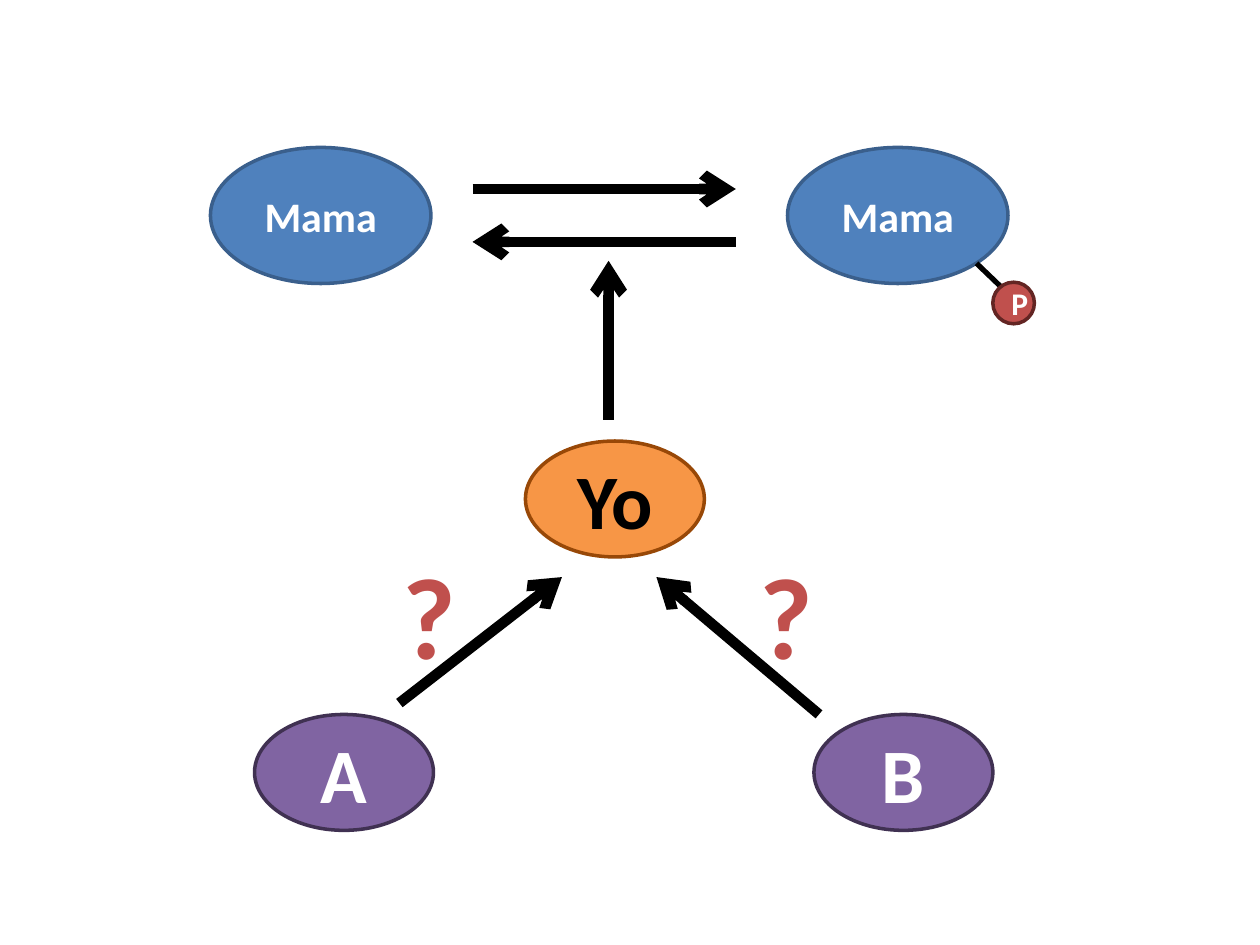
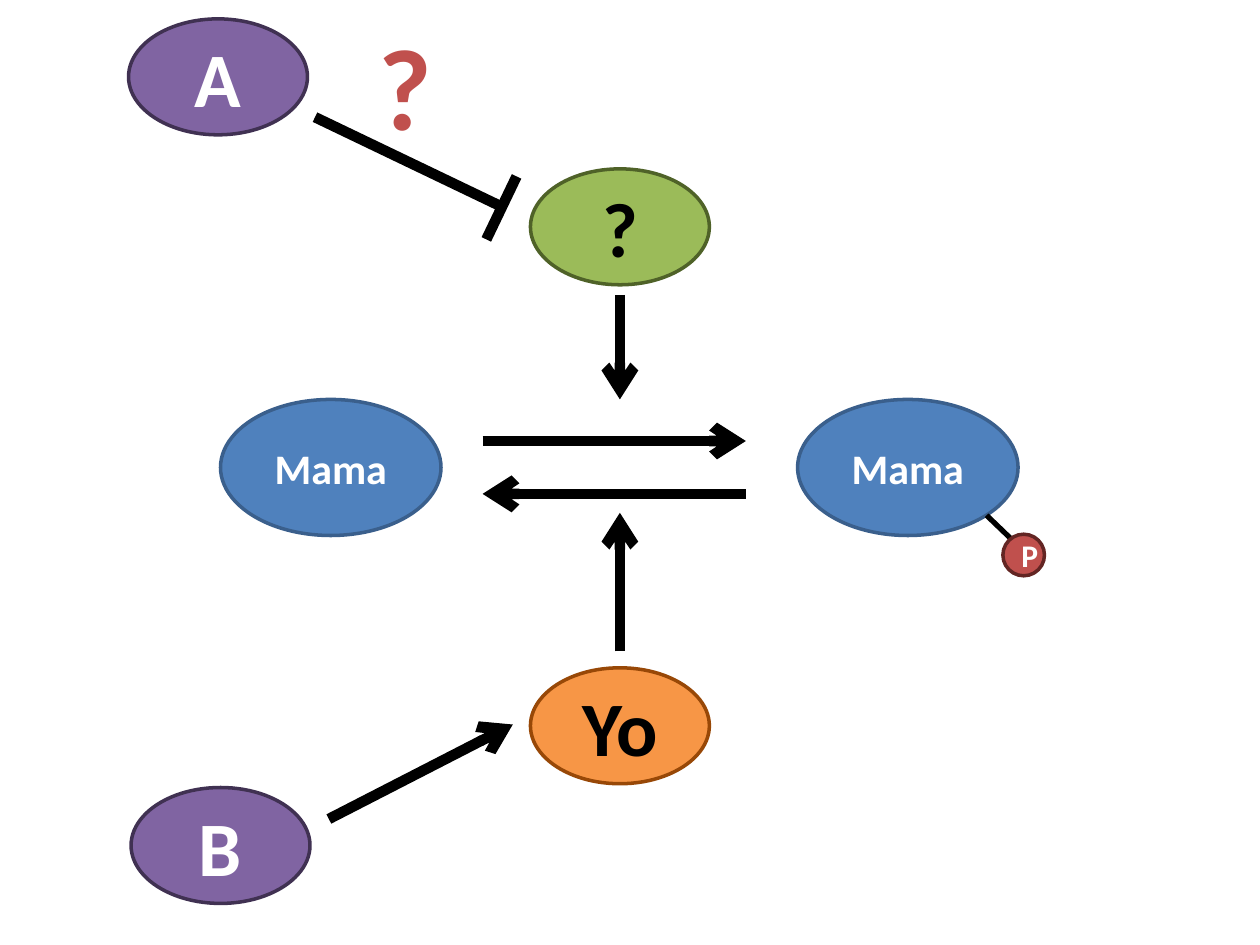
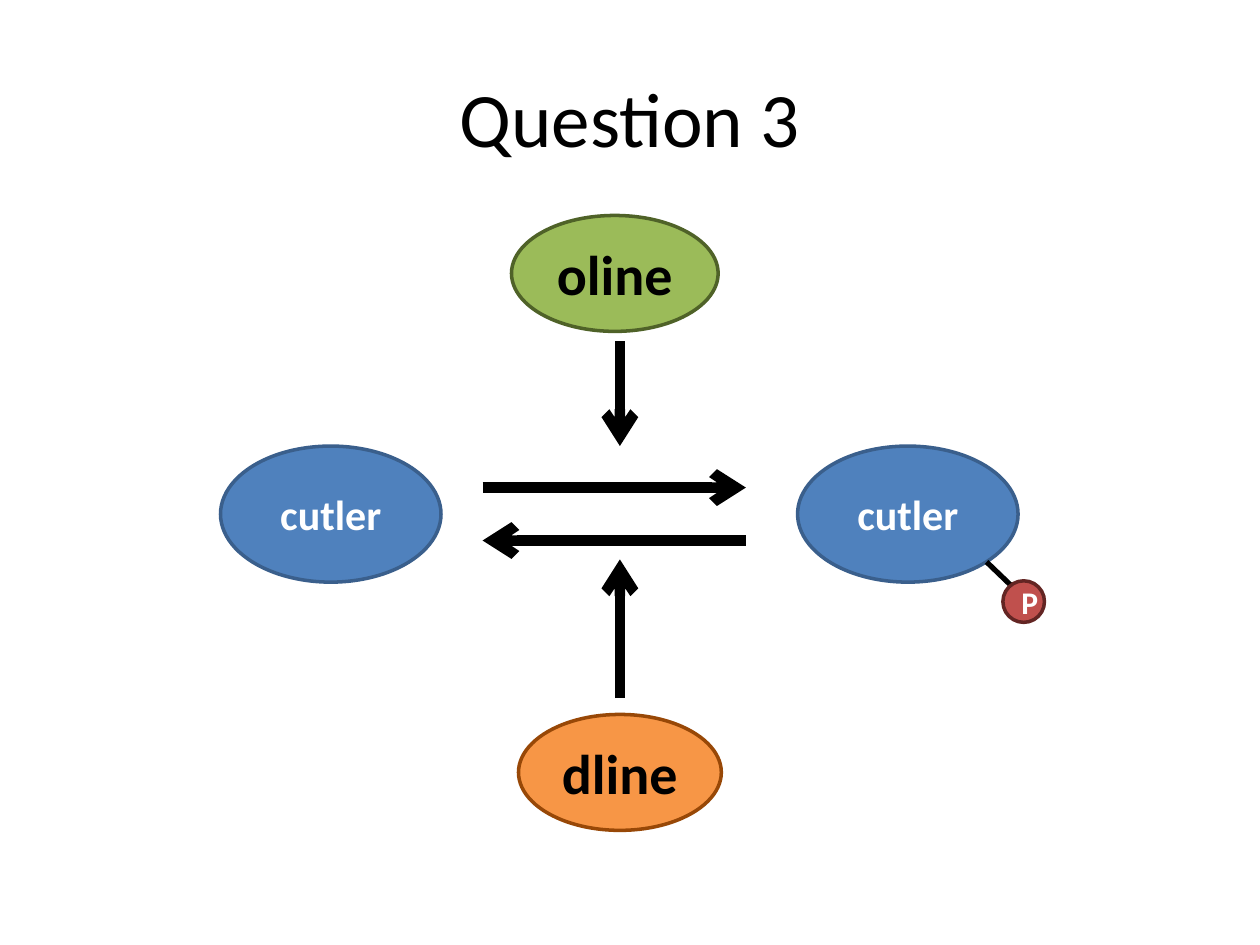
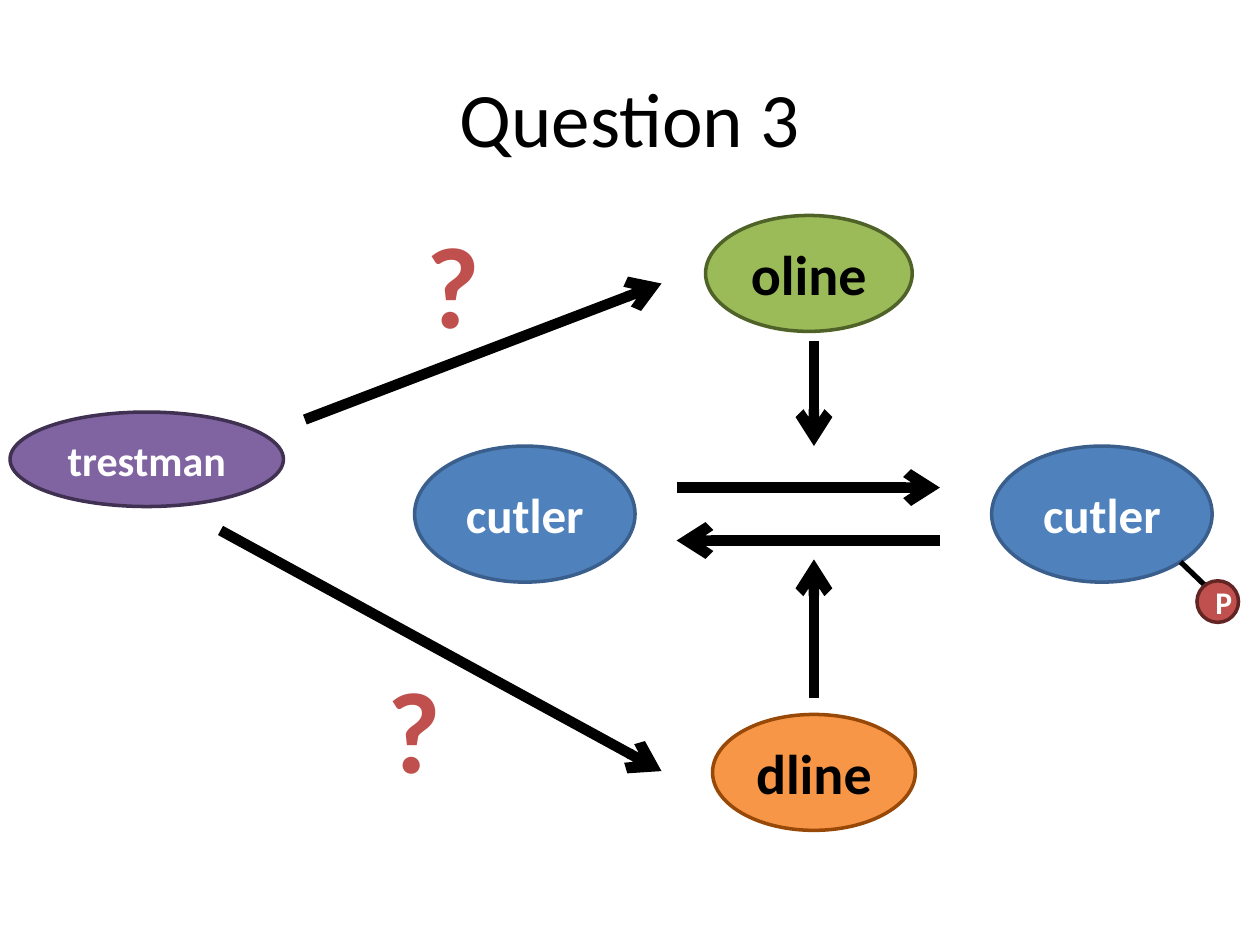
"""Build four slides of signalling diagrams around a phosphorylation cycle."""
from lxml import etree
from pptx import Presentation
from pptx import util as u
from pptx.dml.color import RGBColor
from pptx.enum import shapes, text
from pptx.oxml import ns

COLORS = {
    "black": "000000", "white": "FFFFFF",
    "blue": "4F81BD", "blue_edge": "3A5F8C",
    "red": "C0504D", "red_edge": "632523",
    "orange": "F79646", "orange_edge": "984807",
    "purple": "8064A2", "purple_edge": "403152",
    "green": "9BBB59", "green_edge": "4F6228",
}
FONT = "Calibri"
NODE_WIDTH, NODE_HEIGHT = 1.42, 0.92
PROTEIN_WIDTH, PROTEIN_HEIGHT = 1.75, 1.08
PROTEIN_STEP = 4.58


def rgb(name):
    """Return the named colour."""
    return RGBColor.from_string(COLORS[name])


def write(shape, content, size, color="black", bold=True,
          align=text.PP_ALIGN.CENTER, anchor=text.MSO_ANCHOR.MIDDLE, wrap=True):
    """Put one formatted line of text in a shape."""
    frame = shape.text_frame
    frame.word_wrap = wrap
    frame.vertical_anchor = anchor
    paragraph = frame.paragraphs[0]
    paragraph.alignment = align
    run = paragraph.add_run()
    run.text = content
    run.font.name = FONT
    run.font.size = u.Pt(size)
    run.font.bold = bold
    run.font.color.rgb = rgb(color)


def add_box(slide, left, top, width, height):
    """Add an empty text box."""
    return slide.shapes.add_textbox(*map(u.Inches, (left, top, width, height)))


def add_title(slide, content):
    """Add the centred slide title."""
    write(add_box(slide, 0.5, 0.3, 9, 1.25), content, 44, bold=False)


def add_question(slide, left, top):
    """Add a large red question mark."""
    box = add_box(slide, left, top, 0.63, 1.21)
    write(box, "?", 66, color="red", align=text.PP_ALIGN.LEFT,
          anchor=text.MSO_ANCHOR.TOP, wrap=False)
    box.text_frame.auto_size = text.MSO_AUTO_SIZE.SHAPE_TO_FIT_TEXT


def add_node(slide, label, left, top, width=NODE_WIDTH, height=NODE_HEIGHT, *,
             fill, size=44, color="black", kind=shapes.MSO_SHAPE.OVAL):
    """Add a labelled, outlined node."""
    shape = slide.shapes.add_shape(kind, *map(u.Inches, (left, top, width, height)))
    shape.shadow.inherit = False
    shape.fill.solid()
    shape.fill.fore_color.rgb = rgb(fill)
    shape.line.color.rgb = rgb(fill + "_edge")
    shape.line.width = u.Pt(2)
    write(shape, label, size, color=color)


def add_line(slide, start, end, width=6, arrow=False):
    """Add a straight black line, with an arrowhead at its end if wanted."""
    line = slide.shapes.add_connector(
        shapes.MSO_CONNECTOR.STRAIGHT, *map(u.Inches, (*start, *end)))
    line.line.color.rgb = rgb("black")
    line.line.width = u.Pt(width)
    if arrow:
        outline = line.line._get_or_add_ln()
        etree.SubElement(outline, ns.qn("a:tailEnd"), type="arrow")
    etree.SubElement(line._element.spPr, ns.qn("a:effectLst"))


def add_arrow(slide, start, end):
    """Add a thick arrow."""
    add_line(slide, start, end, arrow=True)


def add_cycle(slide, name, left, top, size=24):
    """Add a protein, its phosphorylated form and the arrows between them."""
    for protein_left in (left, left + PROTEIN_STEP):
        add_node(slide, name, protein_left, top, PROTEIN_WIDTH, PROTEIN_HEIGHT,
                 fill="blue", size=size, color="white")
    add_line(slide, (left + 6.08, top + 0.92), (left + 6.33, top + 1.16), width=3)
    add_node(slide, "P", left + 6.21, top + 1.07, 0.33, 0.33, fill="red", size=18,
             color="white", kind=shapes.MSO_SHAPE.FLOWCHART_CONNECTOR)
    near, far = left + 2.08, left + 4.17
    add_arrow(slide, (near, top + 0.33), (far, top + 0.33))
    add_arrow(slide, (far, top + 0.75), (near, top + 0.75))


def add_lower_regulator(slide, name, left, top, width=NODE_WIDTH, size=44, drop=2):
    """Add the orange regulator and its arrow up to a cycle at left, top."""
    middle = left + 3.17
    add_arrow(slide, (middle, top + drop), (middle, top + 0.9))
    add_node(slide, name, middle - width / 2, top + drop + 0.13, width,
             fill="orange", size=size)


def add_upper_regulator(slide, name, left, top, width=NODE_WIDTH, size=44, shift=0):
    """Add the green regulator and its arrow down to a cycle at left, top."""
    middle = left + 3.17
    add_arrow(slide, (middle, top - 0.83), (middle, top))
    add_node(slide, name, middle - width / 2 + shift, top - 1.83, width,
             fill="green", size=size)


def add_input(slide, name, left, top, *size_in_inches, size=44):
    """Add a purple input node."""
    add_node(slide, name, left, top, *size_in_inches,
             fill="purple", size=size, color="white")


def build_two_activators(slide):
    """Show A and B as possible activators of Yo."""
    left, top = 1.67, 1.17
    add_cycle(slide, "Mama", left, top)
    add_arrow(slide, (4.83, 3.33), (4.83, 2.07))
    add_node(slide, "Yo", 4.17, 3.5, fill="orange")
    add_input(slide, "A", 2.02, 5.67)
    add_input(slide, "B", 6.46, 5.67)
    add_arrow(slide, (6.5, 5.67), (5.21, 4.58))
    add_arrow(slide, (3.17, 5.58), (4.46, 4.58))
    for question_left in (3.1, 5.93):
        add_question(slide, question_left, 4.27)


def build_inhibitor(slide):
    """Show A blocking an unknown regulator while B activates Yo."""
    left, top = 1.75, 3.17
    add_cycle(slide, "Mama", left, top)
    add_lower_regulator(slide, "Yo", left, top)
    add_upper_regulator(slide, "?", left, top)
    add_input(slide, "A", 1.02, 0.15)
    add_input(slide, "B", 1.04, 6.25)
    add_arrow(slide, (2.61, 6.5), (4.07, 5.75))
    add_question(slide, 2.91, 0.07)
    add_line(slide, (2.5, 0.93), (3.96, 1.63))
    add_line(slide, (3.86, 1.9), (4.1, 1.4))


def build_cutler(slide, left, size=24):
    """Show the titled cutler cycle with both of its regulators."""
    top = 3.54
    add_title(slide, "Question 3")
    add_cycle(slide, "cutler", left, top, size=size)
    add_lower_regulator(slide, "dline", left, top, width=1.61, size=32)
    add_upper_regulator(slide, "oline", left, top, width=1.64, size=32, shift=-0.04)


def build_trestman(slide):
    """Show trestman as a possible input to both cutler regulators."""
    build_cutler(slide, 3.29, size=28)
    add_input(slide, "trestman", 0.08, 3.27, 2.17, 0.75, size=24)
    add_arrow(slide, (2.42, 3.33), (5.25, 2.25))
    add_arrow(slide, (1.75, 4.21), (5.25, 6.12))
    add_question(slide, 3.29, 1.64)
    add_question(slide, 2.98, 5.17)


def main():
    """Build and save the presentation."""
    presentation = Presentation()
    presentation.slide_width = u.Inches(10)
    presentation.slide_height = u.Inches(7.5)
    blank = presentation.slide_layouts[6]

    def new_slide():
        """Add a blank slide."""
        return presentation.slides.add_slide(blank)

    build_two_activators(new_slide())
    build_inhibitor(new_slide())
    build_cutler(new_slide(), 1.75)
    build_trestman(new_slide())
    presentation.save("out.pptx")


if __name__ == "__main__":
    main()
